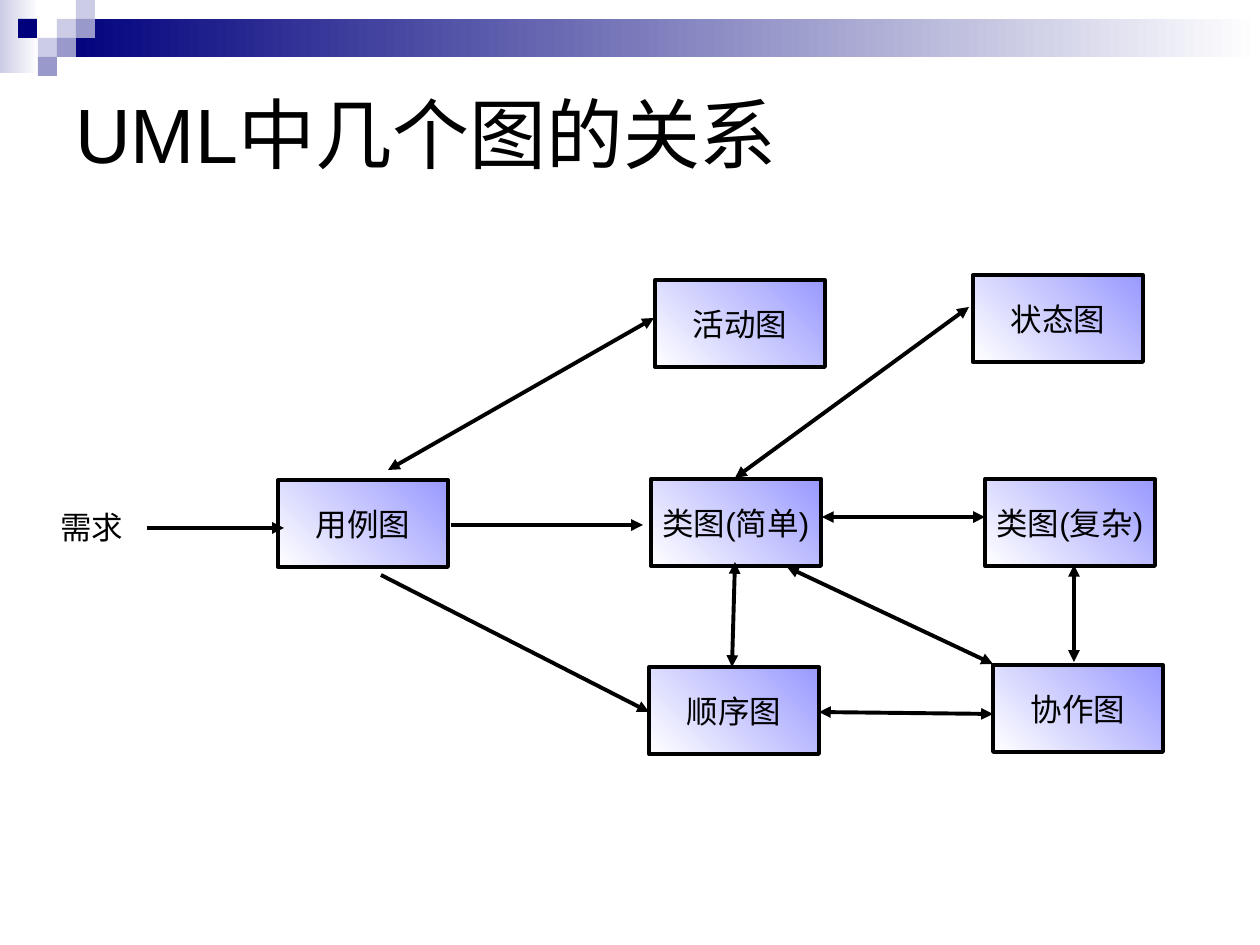
import pptx
import pptx.dml.color
import pptx.enum.shapes
import pptx.enum.text
import pptx.oxml
import pptx.oxml.ns
import pptx.util

EMU_PER_PX = 914400 / 126
FONT = "Arial"
LINE_WIDTH = 2.25
BOX_SIZE = (170, 87)
SQUARE = 19
COLORS = {
    "black": "000000",
    "white": "FFFFFF",
    "navy": "00007D",
    "pale": "CCCCE6",
    "lavender": "9999CC",
    "periwinkle": "9999FF",
}
BANDS = [((0, 0, 39, 73), "pale"), ((57, 19, 1203, 38), "navy")]
SQUARES = [
    (57, 19, "pale"),
    (76, 0, "pale"),
    (76, 19, "lavender"),
    (38, 38, "pale"),
    (18, 19, "navy"),
    (57, 38, "lavender"),
    (38, 57, "lavender"),
]
DIAGRAM_BOXES = [
    ("用例图", 278, 480),
    ("类图(复杂)", 985, 479),
    ("状态图", 973, 275),
    ("顺序图", 649, 667),
    ("类图(简单)", 651, 479),
    ("活动图", 655, 280),
    ("协作图", 993, 665),
]
ONE_WAY_ARROWS = [
    (147, 528, 284, 528),
    (381, 575, 649, 712),
    (451, 525, 643, 525),
]
TWO_WAY_ARROWS = [
    (388, 470, 654, 318),
    (735, 562, 732, 667),
    (735, 478, 969, 307),
    (822, 517, 985, 517),
    (1074, 565, 1074, 662),
    (819, 712, 993, 714),
    (787, 567, 993, 664),
]


def px(length):
    """Turn pixels into EMU."""
    return pptx.util.Emu(round(length * EMU_PER_PX))


def rgb(name):
    """Look up a named colour."""
    return pptx.dml.color.RGBColor.from_string(COLORS[name])


def add_rectangle(slide, bounds):
    """Add a rectangle without shadow or outline."""
    shape = slide.shapes.add_shape(
        pptx.enum.shapes.MSO_SHAPE.RECTANGLE, *map(px, bounds)
    )
    shape.shadow.inherit = False
    shape.line.fill.background()
    return shape


def fill_gradient(shape, start, end, angle):
    """Fill a shape with a two-colour linear gradient."""
    shape.fill.gradient()
    shape.fill.gradient_angle = angle
    for stop, name in zip(shape.fill.gradient_stops, (start, end)):
        stop.color.rgb = rgb(name)


def write_text(shape, text, size, alignment, anchor, wrap=False):
    """Write one styled paragraph into a shape."""
    frame = shape.text_frame
    frame.word_wrap = wrap
    frame.vertical_anchor = anchor
    paragraph = frame.paragraphs[0]
    paragraph.text = text
    paragraph.alignment = alignment
    paragraph.font.size = pptx.util.Pt(size)
    paragraph.font.name = FONT
    paragraph.font.color.rgb = rgb("black")


def add_label(slide, bounds, text, size, anchor, wrap=False):
    """Add a left-aligned text box."""
    label = slide.shapes.add_textbox(*map(px, bounds))
    write_text(label, text, size, pptx.enum.text.PP_ALIGN.LEFT, anchor, wrap)


def add_diagram_box(slide, text, left, top):
    """Add an outlined gradient box naming a diagram."""
    box = add_rectangle(slide, (left, top, *BOX_SIZE))
    fill_gradient(box, "periwinkle", "white", 225)
    box.line.color.rgb = rgb("black")
    box.line.width = pptx.util.Pt(LINE_WIDTH)
    write_text(
        box,
        text,
        18,
        pptx.enum.text.PP_ALIGN.CENTER,
        pptx.enum.text.MSO_ANCHOR.MIDDLE,
    )


def add_arrow(slide, ends, arrowheads):
    """Add a straight line with the given arrowhead elements."""
    arrow = slide.shapes.add_connector(
        pptx.enum.shapes.MSO_CONNECTOR.STRAIGHT, *map(px, ends)
    )
    arrow.line.color.rgb = rgb("black")
    arrow.line.width = pptx.util.Pt(LINE_WIDTH)
    namespace = pptx.oxml.ns.nsdecls("a")
    line = arrow.line._get_or_add_ln()
    for tag in arrowheads:
        line.append(pptx.oxml.parse_xml(f'<a:{tag} {namespace} type="triangle"/>'))
    properties = arrow._element.spPr
    properties.append(pptx.oxml.parse_xml(f"<a:effectLst {namespace}/>"))


def add_decoration(slide):
    """Add the gradient bands and small squares along the top."""
    for bounds, color in BANDS:
        fill_gradient(add_rectangle(slide, bounds), color, "white", 0)
    for left, top, color in SQUARES:
        square = add_rectangle(slide, (left, top, SQUARE, SQUARE))
        square.fill.solid()
        square.fill.fore_color.rgb = rgb(color)


def main():
    """Build and save the slide."""
    presentation = pptx.Presentation()
    presentation.slide_width = px(1260)
    presentation.slide_height = px(945)
    slide = presentation.slides.add_slide(presentation.slide_layouts[6])
    anchors = pptx.enum.text.MSO_ANCHOR

    add_decoration(slide)
    add_label(
        slide, (63, 63, 1134, 139), "UML中几个图的关系", 44, anchors.MIDDLE, wrap=True
    )
    add_label(slide, (48, 502, 88, 50), "需求", 18, anchors.TOP)
    for text, left, top in DIAGRAM_BOXES:
        add_diagram_box(slide, text, left, top)
    for ends in ONE_WAY_ARROWS:
        add_arrow(slide, ends, ["tailEnd"])
    for ends in TWO_WAY_ARROWS:
        add_arrow(slide, ends, ["headEnd", "tailEnd"])

    presentation.save("out.pptx")


if __name__ == "__main__":
    main()
